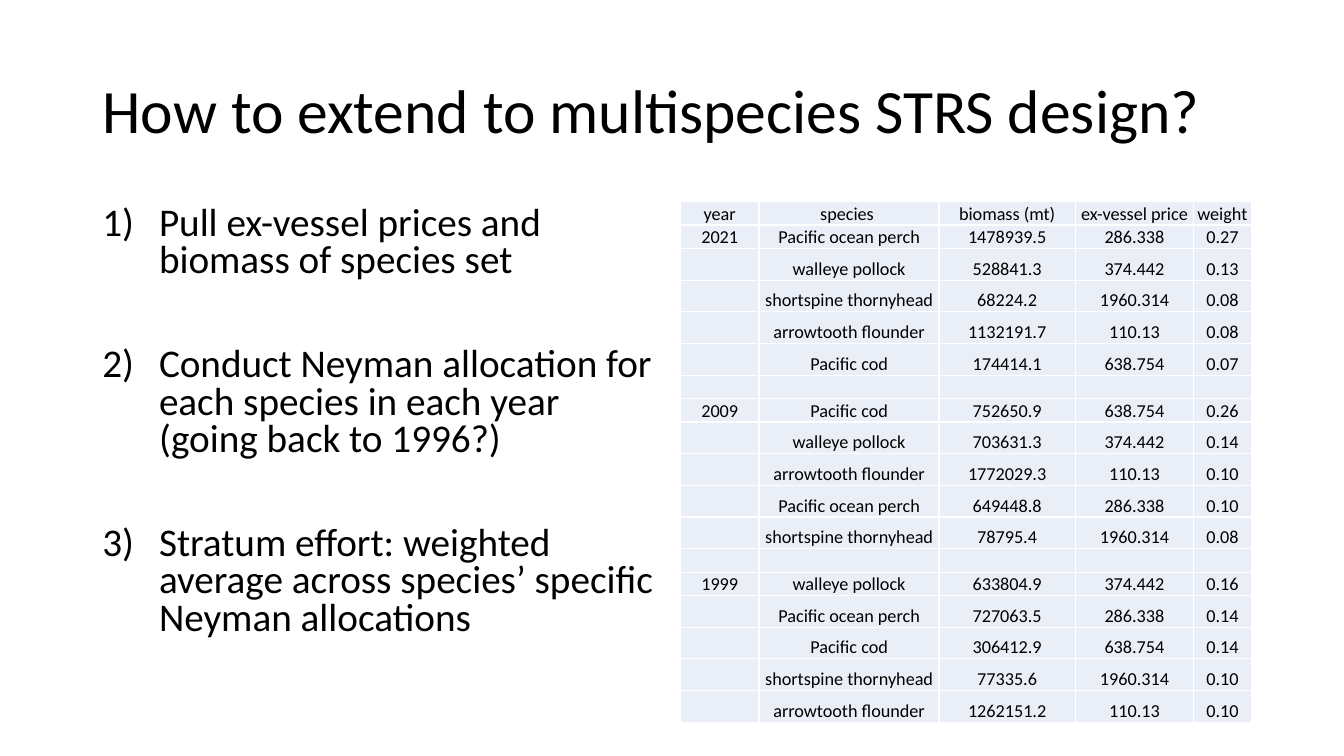
from lxml import etree
from pptx import Presentation
from pptx.dml.color import RGBColor
from pptx.enum import text
from pptx.oxml import ns
from pptx.util import Pt

FONT = "Calibri"
COLORS = {"text": "000000", "cell": "EAEFF7", "border": "FFFFFF"}

STEPS = [
    "Pull ex-vessel prices and biomass of species set",
    "Conduct Neyman allocation for each species in each year (going back to 1996?)",
    "Stratum effort: weighted average across species’ specific Neyman allocations",
]

HEADERS = ["year", "species ", "biomass (mt)", "ex-vessel price", "weight"]
COLUMN_WIDTHS = [56.2, 128.6, 97.2, 84.7, 41]
SHORT_ROW, TALL_ROW = 16.8, 22.6
CELL_SIZE = 13

PRICES = {
    "Pacific ocean perch": "286.338",
    "walleye pollock": "374.442",
    "shortspine thornyhead": "1960.314",
    "arrowtooth flounder": "110.13",
    "Pacific cod": "638.754",
}

# Species, biomass and weight for each year
SURVEYS = {
    "2021": [
        ("Pacific ocean perch", "1478939.5", "0.27"),
        ("walleye pollock", "528841.3", "0.13"),
        ("shortspine thornyhead", "68224.2", "0.08"),
        ("arrowtooth flounder", "1132191.7", "0.08"),
        ("Pacific cod", "174414.1", "0.07"),
    ],
    "2009": [
        ("Pacific cod", "752650.9", "0.26"),
        ("walleye pollock", "703631.3", "0.14"),
        ("arrowtooth flounder", "1772029.3", "0.10"),
        ("Pacific ocean perch", "649448.8", "0.10"),
        ("shortspine thornyhead", "78795.4", "0.08"),
    ],
    "1999": [
        ("walleye pollock", "633804.9", "0.16"),
        ("Pacific ocean perch", "727063.5", "0.14"),
        ("Pacific cod", "306412.9", "0.14"),
        ("shortspine thornyhead", "77335.6", "0.10"),
        ("arrowtooth flounder", "1262151.2", "0.10"),
    ],
}


def add_run(paragraph, words, size):
    run = paragraph.add_run()
    run.text = words
    run.font.name = FONT
    run.font.size = Pt(size)
    run.font.color.rgb = RGBColor.from_string(COLORS["text"])


def set_title(slide, words):
    title = slide.shapes.title
    title.left, title.top, title.width, title.height = Pt(66), Pt(28.75), Pt(828), Pt(104.4)
    title.text_frame.vertical_anchor = text.MSO_ANCHOR.MIDDLE
    paragraph = title.text_frame.paragraphs[0]
    paragraph.alignment = text.PP_ALIGN.LEFT
    paragraph.line_spacing = 0.9
    add_run(paragraph, words, 44)


def add_numbered_list(slide, items):
    box = slide.shapes.add_textbox(Pt(66), Pt(143.75), Pt(408.5), Pt(342.6))
    frame = box.text_frame
    frame.word_wrap = True
    for index, item in enumerate(items):
        paragraph = frame.add_paragraph() if index else frame.paragraphs[0]
        paragraph.line_spacing = 0.8
        paragraph.space_before = Pt(47 if index else 10)
        properties = paragraph._p.get_or_add_pPr()
        properties.set("marL", str(Pt(40.5)))
        properties.set("indent", str(-Pt(40.5)))
        etree.SubElement(properties, ns.qn("a:buFont"), typeface="+mj-lt")
        etree.SubElement(properties, ns.qn("a:buAutoNum"), type="arabicParenR")
        add_run(paragraph, item, 28)


def set_borders(cell):
    properties = cell._tc.get_or_add_tcPr()
    for side in ("lnL", "lnR", "lnT", "lnB"):
        line = etree.SubElement(properties, ns.qn(f"a:{side}"), w=str(Pt(1)))
        fill = etree.SubElement(line, ns.qn("a:solidFill"))
        etree.SubElement(fill, ns.qn("a:srgbClr"), val=COLORS["border"])


def format_cell(cell, words):
    set_borders(cell)
    cell.fill.solid()
    cell.fill.fore_color.rgb = RGBColor.from_string(COLORS["cell"])
    cell.margin_left = cell.margin_right = cell.margin_top = Pt(0.7)
    cell.margin_bottom = 0
    cell.vertical_anchor = text.MSO_ANCHOR.BOTTOM
    paragraph = cell.text_frame.paragraphs[0]
    paragraph.alignment = text.PP_ALIGN.CENTER
    if words:
        add_run(paragraph, words, CELL_SIZE)
    else:
        # Keeps an empty cell from stretching its row
        etree.SubElement(paragraph._p, ns.qn("a:endParaRPr"), sz=str(CELL_SIZE * 100))


def survey_rows():
    rows = [HEADERS]
    for year, catches in SURVEYS.items():
        if len(rows) > 1:
            rows.append([""] * len(HEADERS))
        for index, (species, biomass, weight) in enumerate(catches):
            rows.append(["" if index else year, species, biomass, PRICES[species], weight])
    return rows


def add_survey_table(slide, rows):
    # A row that continues a year is taller than the others
    heights = [TALL_ROW if row[1] and not row[0] else SHORT_ROW for row in rows]
    frame = slide.shapes.add_table(
        len(rows), len(HEADERS), Pt(486), Pt(144), Pt(sum(COLUMN_WIDTHS)), Pt(sum(heights)))
    table = frame.table
    table.first_row = table.horz_banding = False
    for column, width in zip(table.columns, COLUMN_WIDTHS):
        column.width = Pt(width)
    for table_row, height, values in zip(table.rows, heights, rows):
        table_row.height = Pt(height)
        for cell, words in zip(table_row.cells, values):
            format_cell(cell, words)


def main():
    presentation = Presentation()
    presentation.slide_width, presentation.slide_height = Pt(960), Pt(540)
    slide = presentation.slides.add_slide(presentation.slide_layouts[5])
    set_title(slide, "How to extend to multispecies STRS design?")
    add_numbered_list(slide, STEPS)
    add_survey_table(slide, survey_rows())
    presentation.save("out.pptx")


if __name__ == "__main__":
    main()
